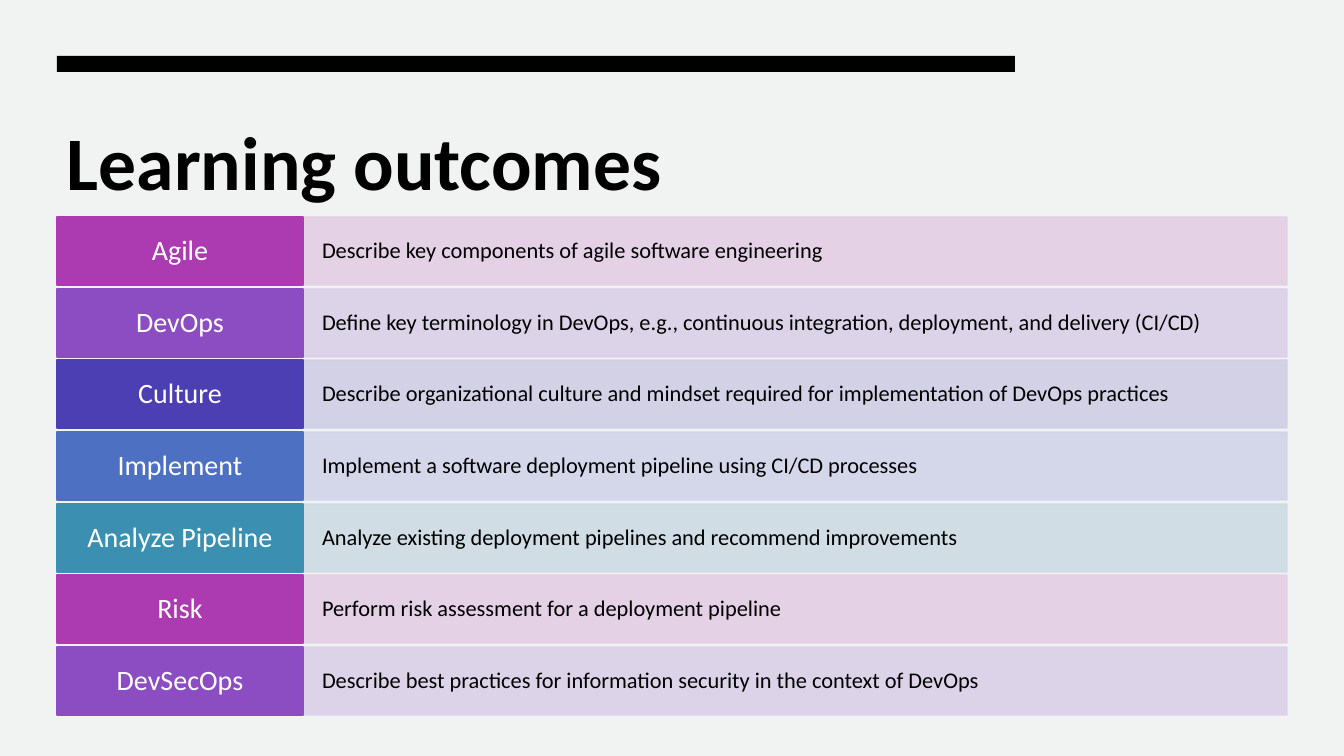
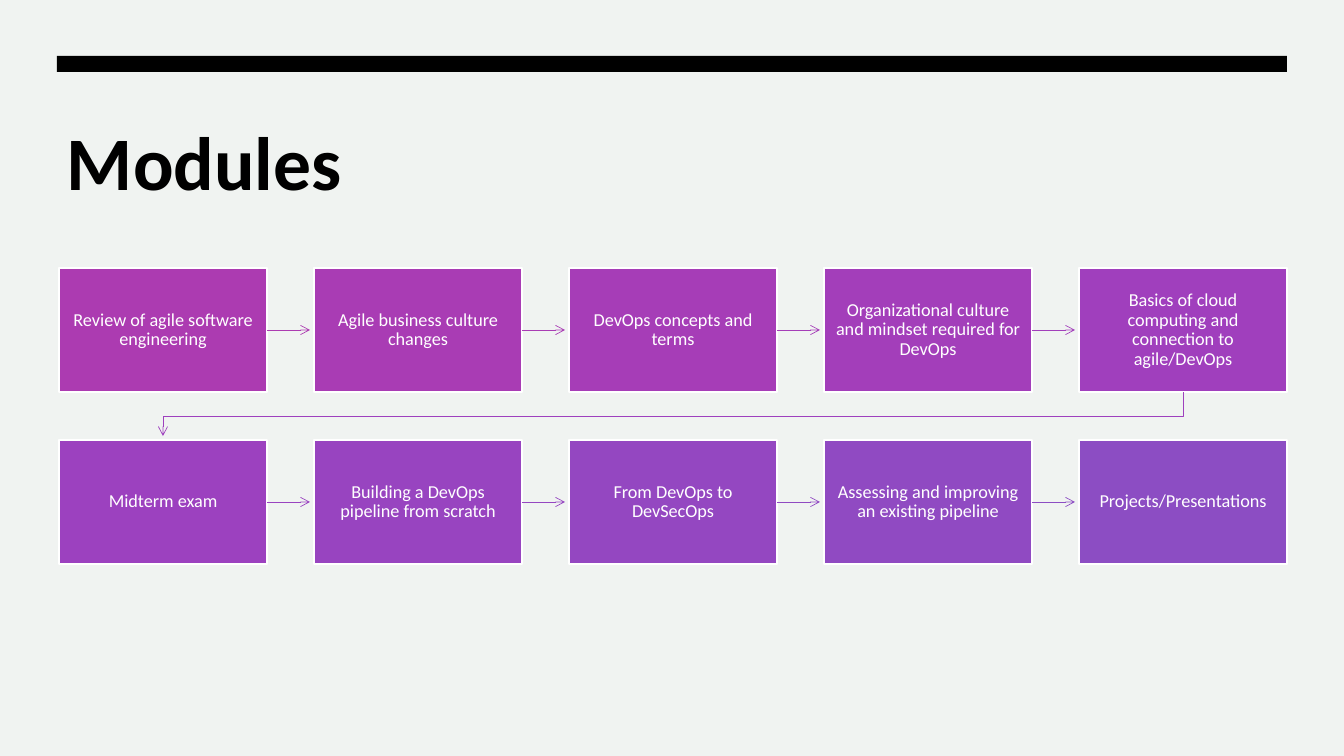
from lxml.etree import SubElement
from pptx import Presentation
from pptx.dml.color import RGBColor
from pptx.enum.shapes import MSO_CONNECTOR, MSO_SHAPE
from pptx.enum.text import MSO_ANCHOR, PP_ALIGN
from pptx.oxml.ns import qn
from pptx.util import Pt

PX = 914400 / 100.8  # EMU per pixel
FONT = "Calibri"
BACKGROUND, BLACK, WHITE = "F0F3F1", "000000", "FFFFFF"
MARGIN, CONTENT_WIDTH = 57, 1230


def paint(fill, color, opacity=100):
    fill.solid()
    fill.fore_color.rgb = RGBColor.from_string(color)
    if opacity < 100:
        color_element = fill._xPr.find(".//" + qn("a:srgbClr"))
        SubElement(color_element, qn("a:alpha")).set("val", str(opacity * 1000))


def add_box(slide, bounds, color, line_color, opacity=100):
    shape = slide.shapes.add_shape(MSO_SHAPE.RECTANGLE, *[round(value * PX) for value in bounds])
    shape.shadow.inherit = False
    paint(shape.fill, color, opacity)
    paint(shape.line.fill, line_color, opacity)
    shape.line.width = Pt(1)
    return shape


def write(shape, text, size, color, insets, align=PP_ALIGN.CENTER,
          anchor=MSO_ANCHOR.MIDDLE, spacing=0.9, bold=False):
    frame = shape.text_frame
    frame.word_wrap = True
    frame.vertical_anchor = anchor
    frame.margin_left = frame.margin_right = round(insets[0] * PX)
    frame.margin_top = frame.margin_bottom = round(insets[1] * PX)
    frame.text = text
    paragraph = frame.paragraphs[0]
    paragraph.alignment = align
    paragraph.line_spacing = spacing
    font = paragraph.runs[0].font
    font.name, font.size, font.bold = FONT, Pt(size), bold
    paint(font.fill, color)


presentation = Presentation()
presentation.slide_width = round(1344 * PX)
presentation.slide_height = round(756 * PX)
paint(presentation.slide_master.background.fill, BACKGROUND)

# Shared frame: black bar and title
slides = []
for title, bar_width in (("Learning outcomes", 958), ("Modules", CONTENT_WIDTH)):
    slide = presentation.slides.add_slide(presentation.slide_layouts[6])
    bar = add_box(slide, (MARGIN, 56, bar_width, 16), BLACK, BLACK)
    bar.line.fill.background()
    title_box = slide.shapes.add_textbox(
        *[round(value * PX) for value in (MARGIN, 110, bar_width, 100)])
    write(title_box, title, 54, BLACK, (10, 5), PP_ALIGN.LEFT, MSO_ANCHOR.TOP, 1.0, True)
    slides.append(slide)
outcomes_slide, modules_slide = slides

# Learning outcomes: label and description rows
PALETTE = [("AC3BB1", "E3CEE4"), ("8C4DC3", "DAD0E9"), ("4C3EB3", "D0CEE5"),
           ("4D70C3", "D0D5E9"), ("3B90B1", "CEDBE4")]
OUTCOMES = [
    ("Agile", "Describe key components of agile software engineering"),
    ("DevOps", "Define key terminology in DevOps, e.g., continuous integration, "
               "deployment, and delivery (CI/CD)"),
    ("Culture", "Describe organizational culture and mindset required for "
                "implementation of DevOps practices"),
    ("Implement", "Implement a software deployment pipeline using CI/CD processes"),
    ("Analyze Pipeline", "Analyze existing deployment pipelines and recommend improvements"),
    ("Risk", "Perform risk assessment for a deployment pipeline"),
    ("DevSecOps", "Describe best practices for information security in the context of DevOps"),
]
LABEL_WIDTH, ROW_HEIGHT = 246, 68
FIRST_ROW, LAST_ROW = 217, 647
for index, (label, description) in enumerate(OUTCOMES):
    top = FIRST_ROW + round(index * (LAST_ROW - FIRST_ROW) / (len(OUTCOMES) - 1))
    dark, light = PALETTE[index % len(PALETTE)]
    description_box = add_box(
        outcomes_slide,
        (MARGIN + LABEL_WIDTH, top, CONTENT_WIDTH - LABEL_WIDTH, ROW_HEIGHT),
        light, light, 90)
    write(description_box, description, 16, BLACK, (19, 17), PP_ALIGN.LEFT)
    label_box = add_box(outcomes_slide, (MARGIN, top, LABEL_WIDTH, ROW_HEIGHT), dark, dark)
    write(label_box, label, 20, WHITE, (13, 7))

# Modules: two rows of five boxes
MODULES = [
    ("Review of agile software engineering", "AC3BB1"),
    ("Agile business culture changes", "A93CB4"),
    ("DevOps concepts and terms", "A63DB7"),
    ("Organizational culture and mindset required for DevOps", "A33EBA"),
    ("Basics of cloud computing and connection to agile/DevOps", "A03FBD"),
    ("Midterm exam", "9C41BF"),
    ("Building a DevOps pipeline from scratch", "9844C0"),
    ("From DevOps to DevSecOps", "9447C1"),
    ("Assessing and improving an existing pipeline", "904AC2"),
    ("Projects/Presentations", "8C4DC3"),
]
ARROW_COLORS = ["AC3BB1", "A93CB4", "A53DB8", "A23FBB", "9E40BE",
                "9943C0", "9546C1", "904AC2", "8C4DC3"]
COLUMNS, GRID_LEFT, GRID_TOP = 5, 59, 268
BOX_WIDTH, BOX_HEIGHT = 208, 124
COLUMN_PITCH, ROW_PITCH = 255, 172
ARROW_GAP = 4
arrows = []
for index, (module, color) in enumerate(MODULES):
    row, column = divmod(index, COLUMNS)
    left = GRID_LEFT + column * COLUMN_PITCH
    top = GRID_TOP + row * ROW_PITCH
    box = add_box(modules_slide, (left, top, BOX_WIDTH, BOX_HEIGHT), color, WHITE)
    write(box, module, 13, WHITE, (10, 11))
    if index == len(MODULES) - 1:
        break
    if column < COLUMNS - 1:
        middle = round((top + BOX_HEIGHT / 2) * PX)
        arrow = modules_slide.shapes.add_connector(
            MSO_CONNECTOR.STRAIGHT, round((left + BOX_WIDTH) * PX), middle,
            round((left + COLUMN_PITCH - ARROW_GAP) * PX), middle)
        arrow.begin_connect(box, 3)
    else:
        # Return arrow to the start of the next row
        start_x, end_x = left + BOX_WIDTH // 2, GRID_LEFT + BOX_WIDTH // 2
        bottom, next_top = top + BOX_HEIGHT, top + ROW_PITCH
        turn = (bottom + next_top) // 2
        builder = modules_slide.shapes.build_freeform(start_x, bottom, scale=PX)
        builder.add_line_segments(
            [(start_x, turn), (end_x, turn), (end_x, next_top - ARROW_GAP)], close=False)
        arrow = builder.convert_to_shape()
        arrow.fill.background()
    arrows.append(arrow)

# Arrow style
for arrow, color in zip(arrows, ARROW_COLORS):
    paint(arrow.line.fill, color)
    arrow.line.width = Pt(0.5)
    SubElement(arrow.line._get_or_add_ln(), qn("a:tailEnd")).set("type", "arrow")
    SubElement(arrow._element.spPr, qn("a:effectLst"))

presentation.save("out.pptx")
